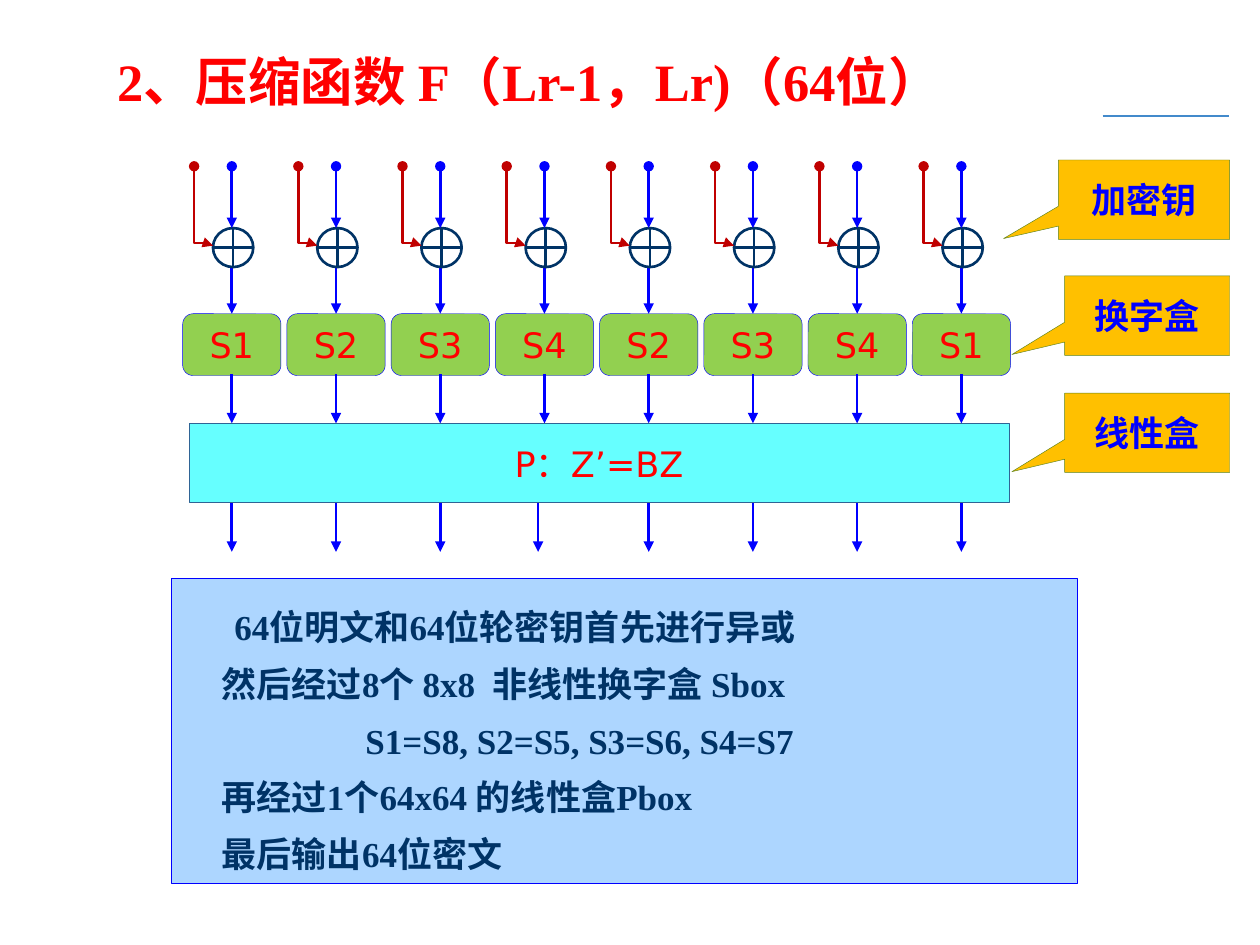
"""Build the slide on the compression function F of a block cipher."""
from dataclasses import dataclass

from lxml.etree import SubElement
from pptx import Presentation
from pptx.dml.color import RGBColor
from pptx.enum.shapes import MSO_CONNECTOR, MSO_SHAPE
from pptx.enum.text import MSO_ANCHOR, PP_ALIGN
from pptx.oxml.ns import qn
from pptx.util import Inches, Pt


@dataclass(frozen=True)
class Theme:
    red: str = "FF0000"
    blue: str = "0000FF"
    navy: str = "003366"
    key: str = "C00000"
    rule: str = "438ACB"
    green: str = "92D050"
    aqua: str = "66FFFF"
    teal: str = "2F6495"
    gold: str = "FFC000"
    olive: str = "59821D"
    pale: str = "ADD6FF"
    white: str = "FFFFFF"
    sans: str = "DejaVu Sans"
    serif: str = "Times New Roman"
    head: int = 30
    body: int = 20
    thin: float = 0.25
    fine: float = 0.75
    bold: float = 1.5


@dataclass(frozen=True)
class Box:
    left: float
    top: float
    width: float
    height: float
    fill: str
    edge: str
    weight: float = 0.25
    kind: MSO_SHAPE = MSO_SHAPE.RECTANGLE


@dataclass(frozen=True)
class Line:
    text: str
    indent: float = 0.32


@dataclass(frozen=True)
class Callout:
    text: str
    left: float
    top: float


T = Theme()
RIGHT = 9.76
FIRST, LAST = 1.84, 7.63
NAMES = ["S1", "S2", "S3", "S4", "S2", "S3", "S4", "S1"]
STEP = (LAST - FIRST) / (len(NAMES) - 1)
CALLOUTS = [
    Callout("加密钥", 8.4, 1.27),
    Callout("换字盒", 8.45, 2.19),
    Callout("线性盒", 8.45, 3.12),
]
NOTES = [
    Line("64位明文和64位轮密钥首先进行异或", 0.42),
    Line("然后经过8个 8x8  非线性换字盒 Sbox"),
    Line("S1=S8, S2=S5, S3=S6, S4=S7", 1.46),
    Line("再经过1个64x64 的线性盒Pbox"),
    Line("最后输出64位密文"),
]


def tint(hue: str) -> RGBColor:
    return RGBColor.from_string(hue)


def style(par, face: str, size: int, hue: str, bold: bool = False) -> None:
    font = par.font
    font.name, font.size, font.bold = face, Pt(size), bold
    font.color.rgb = tint(hue)


def draw_box(slide, box: Box):
    shape = slide.shapes.add_shape(
        box.kind, Inches(box.left), Inches(box.top), Inches(box.width), Inches(box.height))
    shape.shadow.inherit = False
    shape.fill.solid()
    shape.fill.fore_color.rgb = tint(box.fill)
    shape.line.color.rgb = tint(box.edge)
    shape.line.width = Pt(box.weight)
    return shape


def label(shape, text: str, hue: str, bold: bool = False) -> None:
    frame = shape.text_frame
    frame.vertical_anchor = MSO_ANCHOR.MIDDLE
    par = frame.paragraphs[0]
    par.text, par.alignment = text, PP_ALIGN.CENTER
    style(par, T.sans, T.body, hue, bold)


def write(frame, lines: list[Line], size: int, hue: str, space: float = 1.0) -> None:
    frame.word_wrap = True
    frame.vertical_anchor = MSO_ANCHOR.TOP
    frame.margin_left = frame.margin_right = Inches(0.08)
    frame.margin_top = frame.margin_bottom = Inches(0.04)
    for i, line in enumerate(lines):
        par = frame.add_paragraph() if i else frame.paragraphs[0]
        par.text, par.alignment, par.line_spacing = line.text, PP_ALIGN.LEFT, space
        par._p.get_or_add_pPr().set("marL", str(Inches(line.indent)))
        style(par, T.serif, size, hue, True)


def draw_line(slide, start: tuple, end: tuple, hue: str, weight: float = T.bold,
              head: str = "none", tail: str = "triangle", kind=MSO_CONNECTOR.STRAIGHT):
    line = slide.shapes.add_connector(kind, *map(Inches, start + end))
    line.line.color.rgb = tint(hue)
    line.line.width = Pt(weight)
    props = line._element.spPr
    edge = props.find(qn("a:ln"))
    SubElement(edge, qn("a:headEnd"), type=head)
    SubElement(edge, qn("a:tailEnd"), type=tail)
    SubElement(props, qn("a:effectLst"))
    return line


def draw_key(slide, x: float) -> None:
    mid = x - 0.22
    bend = draw_line(slide, (mid + 0.31, 1.56), (mid - 0.32, 1.71), T.key,
                     head="oval", kind=MSO_CONNECTOR.ELBOW)
    props = bend._element.spPr
    props.find(qn("a:xfrm")).set("rot", str(270 * 60000))
    guides = props.find(qn("a:prstGeom")).get_or_add_avLst()
    SubElement(guides, qn("a:gd"), name="adj1", fmla="val 96700")


def draw_lane(slide, i: int, name: str) -> None:
    x = FIRST + i * STEP
    out = x - 0.05 if i == 3 else x
    sbox = draw_box(slide, Box(x - 0.39, 2.49, 0.78, 0.49, T.green, T.blue,
                               kind=MSO_SHAPE.ROUNDED_RECTANGLE))
    label(sbox, name, T.red)
    for col, top, low in [(x, 2.1, 2.49), (x, 2.97, 3.36), (out, 3.99, 4.38)]:
        draw_line(slide, (col, top), (col, low), T.blue)
    draw_box(slide, Box(x - 0.15, 1.81, 0.32, 0.31, T.white, T.navy, T.bold,
                        MSO_SHAPE.FLOWCHART_OR))
    draw_line(slide, (x, 1.32), (x, 1.81), T.blue, head="oval")
    draw_key(slide, x)


def draw_callout(slide, item: Callout) -> None:
    shape = draw_box(slide, Box(item.left, item.top, RIGHT - item.left, 0.63, T.gold,
                                T.olive, kind=MSO_SHAPE.RECTANGULAR_CALLOUT))
    shape.adjustments[0], shape.adjustments[1] = -0.82, 0.49
    label(shape, item.text, T.blue, True)


def main() -> None:
    deck = Presentation()
    deck.slide_width, deck.slide_height = Inches(10), Inches(7.5)
    slide = deck.slides.add_slide(deck.slide_layouts[6])
    draw_line(slide, (8.75, 0.92), (9.75, 0.92), T.rule, T.fine, tail="none")
    for i, name in enumerate(NAMES):
        draw_lane(slide, i, name)
    pbox = draw_box(slide, Box(1.5, 3.36, 6.51, 0.63, T.aqua, T.teal))
    label(pbox, "P：Z’=BZ", T.red)
    title = slide.shapes.add_textbox(Inches(0.53), Inches(0.35), Inches(8.51), Inches(0.58))
    write(title.text_frame, [Line("2、压缩函数 F（Lr-1，Lr)（64位）")], T.head, T.red)
    for item in CALLOUTS:
        draw_callout(slide, item)
    panel = draw_box(slide, Box(1.36, 4.59, 7.19, 2.42, T.pale, T.blue, T.fine))
    write(panel.text_frame, NOTES, T.body, T.navy, 1.35)
    panel.text_frame.margin_top = Inches(0.1)
    deck.save("out.pptx")


if __name__ == "__main__":
    main()
